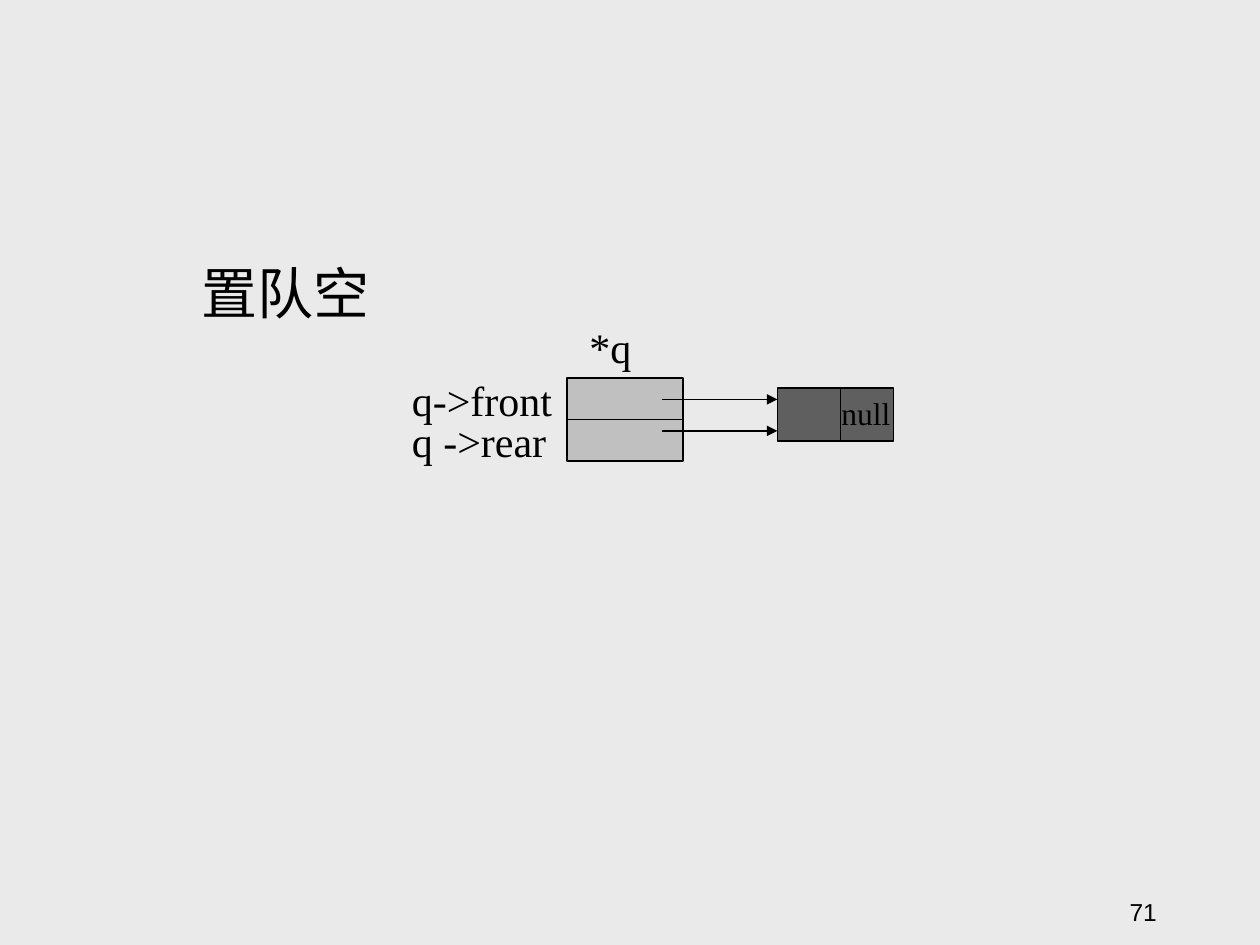
from pptx import Presentation
from pptx.dml.color import RGBColor
from pptx.enum.shapes import MSO_CONNECTOR, MSO_SHAPE
from pptx.enum.text import MSO_ANCHOR, MSO_AUTO_SIZE, PP_ALIGN
from pptx.oxml.ns import qn
from pptx.util import Inches, Pt
from lxml.etree import SubElement

COLORS = {"bg": "EAEAEA", "ink": "000000", "queue": "C0C0C0", "node": "5F5F5F"}
SERIF, SANS = "Times New Roman", "Arial"

TITLE = ("置队空", (1.5, 2, 1.58, 0.64), 32)
LABELS = [  # text, box, size
    ("*q", (4.58, 2.5, 1.08, 0.5), 24),
    ("q->front", (3.17, 2.92, 1.33, 0.5), 24),
    ("q ->rear", (3.17, 3.25, 1.58, 0.5), 24),
    ("null", (6.58, 3.08, 1.08, 0.4), 18),
]
PAGE = ("71", (7.2, 6.9, 2.08, 0.5), 14)

CELL_W, CELL_H = 0.92, 0.33
QUEUE_X, QUEUE_Y = 4.5, 3
NODE_X, NODE_Y, NODE_H = 6.17, 3.08, 0.42
NODE_SPLIT = 6.67
ARROW_X, ARROW_YS = 5.25, (3.17, 3.42)


def rgb(name):
    return RGBColor.from_string(COLORS[name])


def write(sp, text, size, font=SERIF, align=PP_ALIGN.LEFT, anchor=MSO_ANCHOR.TOP):
    tf = sp.text_frame
    tf.word_wrap = True
    tf.auto_size = MSO_AUTO_SIZE.NONE
    tf.vertical_anchor = anchor
    p = tf.paragraphs[0]
    p.alignment = align
    r = p.add_run()
    r.text = text
    r.font.size = Pt(size)
    r.font.name = font
    r.font.color.rgb = rgb("ink")


def add_text(slide, text, box, size, **style):
    write(slide.shapes.add_textbox(*map(Inches, box)), text, size, **style)


def add_cell(slide, x, y, h, fill):
    sp = slide.shapes.add_shape(MSO_SHAPE.RECTANGLE, *map(Inches, (x, y, CELL_W, h)))
    sp.shadow.inherit = False
    sp.fill.solid()
    sp.fill.fore_color.rgb = rgb(fill)
    sp.line.color.rgb = rgb("ink")
    sp.line.width = Pt(0.75)


def add_line(slide, x1, y1, x2, y2, arrow=False):
    line = slide.shapes.add_connector(MSO_CONNECTOR.STRAIGHT, *map(Inches, (x1, y1, x2, y2)))
    line.line.color.rgb = rgb("ink")
    line.line.width = Pt(0.75)
    if arrow:
        SubElement(line.line._get_or_add_ln(), qn("a:tailEnd"), type="triangle")
    SubElement(line._element.spPr, qn("a:effectLst"))


def main():
    prs = Presentation()
    prs.slide_width, prs.slide_height = Inches(10), Inches(7.5)
    slide = prs.slides.add_slide(prs.slide_layouts[5])
    slide.background.fill.solid()
    slide.background.fill.fore_color.rgb = rgb("bg")

    text, box, size = TITLE
    title = slide.shapes.title
    title.left, title.top, title.width, title.height = map(Inches, box)
    write(title, text, size)

    for row in range(2):
        add_cell(slide, QUEUE_X, QUEUE_Y + row * CELL_H, CELL_H, "queue")
    add_cell(slide, NODE_X, NODE_Y, NODE_H, "node")
    add_line(slide, NODE_SPLIT, NODE_Y, NODE_SPLIT, NODE_Y + NODE_H)
    for y in ARROW_YS:
        add_line(slide, ARROW_X, y, NODE_X, y, arrow=True)

    for label in LABELS:
        add_text(slide, *label)
    add_text(slide, *PAGE, font=SANS, align=PP_ALIGN.RIGHT, anchor=MSO_ANCHOR.BOTTOM)

    prs.save("out.pptx")


if __name__ == "__main__":
    main()
